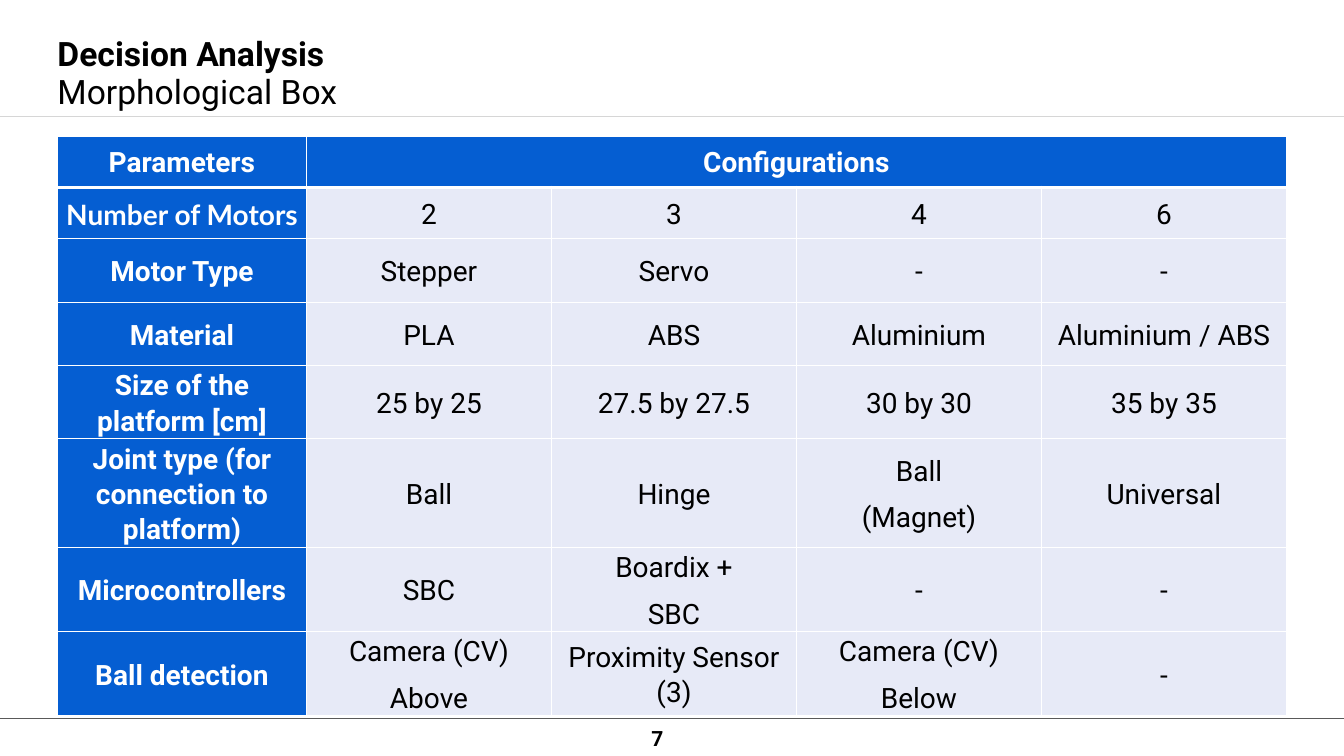
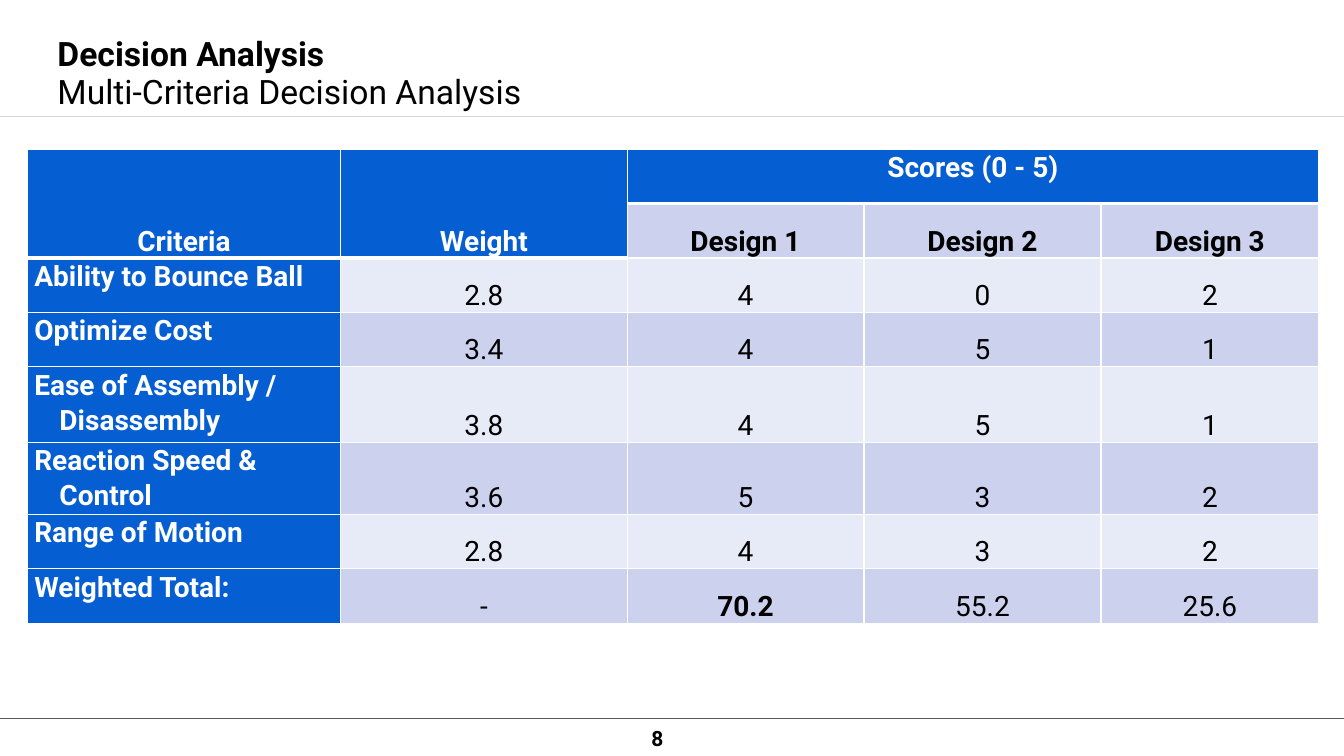
from lxml import etree
from pptx import Presentation
from pptx import util as u
from pptx.dml import color
from pptx.enum import shapes, text
from pptx.oxml import ns

PX = 9144  # 100 px to the inch
SLIDE_WIDTH, SLIDE_HEIGHT = 1333, 750
FONT = "Roboto"
BLACK, WHITE, BLUE = "000000", "FFFFFF", "055ED2"
PALE, LILAC = "E7EAF7", "CCD2EE"
TITLE_RULE, FOOTER_RULE = "D6D6D6", "595959"
THIN, THICK = 1, 3
CENTER, LEFT, RIGHT = text.PP_ALIGN.CENTER, text.PP_ALIGN.LEFT, text.PP_ALIGN.RIGHT
TOP, MIDDLE, BOTTOM = text.MSO_ANCHOR.TOP, text.MSO_ANCHOR.MIDDLE, text.MSO_ANCHOR.BOTTOM

MORPHOLOGICAL_BOX = [
    ["Parameters", "Configurations", "", "", ""],
    ["Number of Motors", "2", "3", "4", "6"],
    ["Motor Type", "Stepper", "Servo", "-", "-"],
    ["Material", "PLA", "ABS", "Aluminium", "Aluminium / ABS"],
    ["Size of the platform [cm]", "25 by 25", "27.5 by 27.5", "30 by 30", "35 by 35"],
    ["Joint type (for connection to platform)", "Ball", "Hinge", "Ball\n(Magnet)", "Universal"],
    ["Microcontrollers", "SBC", "Boardix +\nSBC", "-", "-"],
    ["Ball detection", "Camera (CV)\nAbove", "Proximity Sensor (3)", "Camera (CV)\nBelow", "-"],
]
SCORES = [
    ["Criteria", "Weight", "Scores (0 - 5)", "", ""],
    ["", "", "Design 1", "Design 2", "Design 3"],
    ["Ability to Bounce Ball", "2.8", "4", "0", "2"],
    ["Optimize Cost", "3.4", "4", "5", "1"],
    ["Ease of Assembly / Disassembly", "3.8", "4", "5", "1"],
    ["Reaction Speed & Control", "3.6", "5", "3", "2"],
    ["Range of Motion", "2.8", "4", "3", "2"],
    ["Weighted Total:", "-", "70.2", "55.2", "25.6"],
]


def px(*lengths):
    return [u.Emu(length * PX) for length in lengths]


def rgb(code):
    return color.RGBColor.from_string(code)


def set_font(para, size, ink=BLACK, bold=False, name=FONT):
    font = para.font
    font.name, font.size, font.bold = name, u.Pt(size), bold
    font.color.rgb = rgb(ink)


def add_text(page, content, place, size, bold=False, align=LEFT):
    frame = page.shapes.add_textbox(*px(*place)).text_frame
    frame.word_wrap = True
    frame.margin_left = frame.margin_right = frame.margin_top = frame.margin_bottom = 0
    frame.text = content
    para = frame.paragraphs[0]
    para.alignment = align
    set_font(para, size, bold=bold)


def add_rule(page, y, ink):
    """Draw a hairline across the full slide."""
    rule = page.shapes.add_connector(shapes.MSO_CONNECTOR.STRAIGHT, *px(0, y, SLIDE_WIDTH, y))
    rule.line.color.rgb = rgb(ink)
    rule.line.width = u.Pt(0.5)
    etree.SubElement(rule._element.spPr, ns.qn("a:effectLst"))


def add_page(deck, subtitle, number):
    page = deck.slides.add_slide(deck.slide_layouts[6])
    add_rule(page, 713, FOOTER_RULE)
    add_rule(page, 115, TITLE_RULE)
    add_text(page, "Decision Analysis", (57, 33, 1065, 40), 24, bold=True)
    add_text(page, subtitle, (57, 70, 1065, 40), 24)
    add_text(page, str(number), (616, 720, 42, 25), 15, bold=True, align=RIGHT)
    return page


def add_table(page, left, top, widths, heights):
    table = page.shapes.add_table(
        len(heights), len(widths), *px(left, top, sum(widths), sum(heights))).table
    table.first_row = table.horz_banding = False
    for column, width in zip(table.columns, px(*widths)):
        column.width = width
    for row, height in zip(table.rows, px(*heights)):
        row.height = height
    return table


def set_borders(cell, above, below):
    """Give a cell white borders; above and below are widths in points."""
    properties = cell._tc.get_or_add_tcPr()
    sides = {"lnL": THIN, "lnR": THIN, "lnT": above, "lnB": below}
    for position, (side, width) in enumerate(sides.items()):
        line = etree.Element(ns.qn(f"a:{side}"), w=str(u.Pt(width)))
        fill = etree.SubElement(line, ns.qn("a:solidFill"))
        etree.SubElement(fill, ns.qn("a:srgbClr"), val=WHITE)
        properties.insert(position, line)


def fill_cell(cell, content, fill, margins, anchor, ink=BLACK, bold=False,
              align=CENTER, space_after=0, name=FONT):
    cell.fill.solid()
    cell.fill.fore_color.rgb = rgb(fill)
    cell.margin_left, cell.margin_top, cell.margin_right, cell.margin_bottom = px(*margins)
    cell.vertical_anchor = anchor
    cell.text = content
    for para in cell.text_frame.paragraphs:
        para.alignment = align
        para.line_spacing = 1.07
        para.space_after = u.Pt(space_after)
        set_font(para, 20, ink, bold, name)


def hang_indent(cell, depth):
    """Indent every line of the cell's text after the first."""
    (indent,) = px(depth)
    for para in cell.text_frame.paragraphs:
        properties = para._p.get_or_add_pPr()
        properties.set("marL", str(indent))
        properties.set("indent", str(-indent))


def add_morphological_box(page):
    table = add_table(page, 57, 135, [247] + [243] * 4, [51, 51, 63, 63, 63, 95, 80, 80])
    table.cell(0, 1).merge(table.cell(0, 4))
    for r, row in enumerate(MORPHOLOGICAL_BOX):
        for c, content in enumerate(row):
            cell = table.cell(r, c)
            heading = r == 0 or c == 0
            fill_cell(cell, content, BLUE if heading else PALE, (1, 1, 1, 0), MIDDLE,
                      ink=WHITE if heading else BLACK, bold=heading, space_after=8,
                      name="Lato" if content == "Number of Motors" else FONT)
            set_borders(cell, THICK if r == 1 else THIN, THICK if r == 0 else THIN)


def add_score_table(page):
    table = add_table(page, 27, 148, [311, 284, 235, 235, 216],
                      [54, 54, 54, 54, 75, 54, 54, 54])
    for c in (0, 1):
        table.cell(0, c).merge(table.cell(1, c))
    table.cell(0, 2).merge(table.cell(0, 4))
    best = max(SCORES[-1][2:], key=float)
    for r, row in enumerate(SCORES):
        for c, content in enumerate(row):
            cell = table.cell(r, c)
            tall_heading = r < 2 and c < 2
            criterion = r >= 2 and c == 0
            blue = r == 0 or tall_heading or criterion
            fill = BLUE if blue else LILAC if r % 2 else PALE
            fill_cell(cell, content, fill, (7, 0, 7, 0),
                      TOP if blue and not tall_heading else BOTTOM,
                      ink=WHITE if blue else BLACK,
                      bold=blue or r == 1 or content == best,
                      align=LEFT if criterion else CENTER)
            if criterion:
                hang_indent(cell, 25)
            last_heading_row = 1 if c < 2 else 0
            set_borders(cell, THICK if r == last_heading_row + 1 else THIN,
                        THICK if r <= last_heading_row else THIN)


def main():
    deck = Presentation()
    deck.slide_width, deck.slide_height = px(SLIDE_WIDTH, SLIDE_HEIGHT)
    add_morphological_box(add_page(deck, "Morphological Box", 7))
    add_score_table(add_page(deck, "Multi-Criteria Decision Analysis", 8))
    deck.save("out.pptx")


if __name__ == "__main__":
    main()
